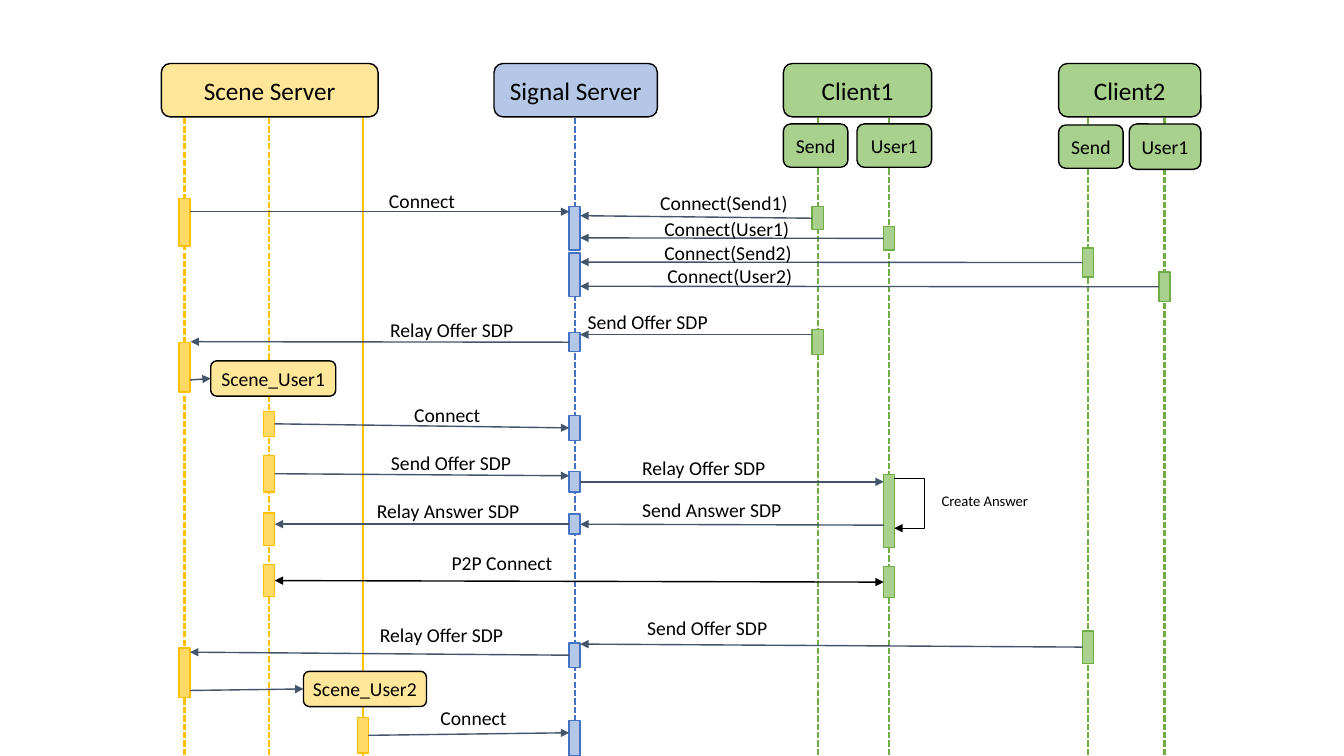
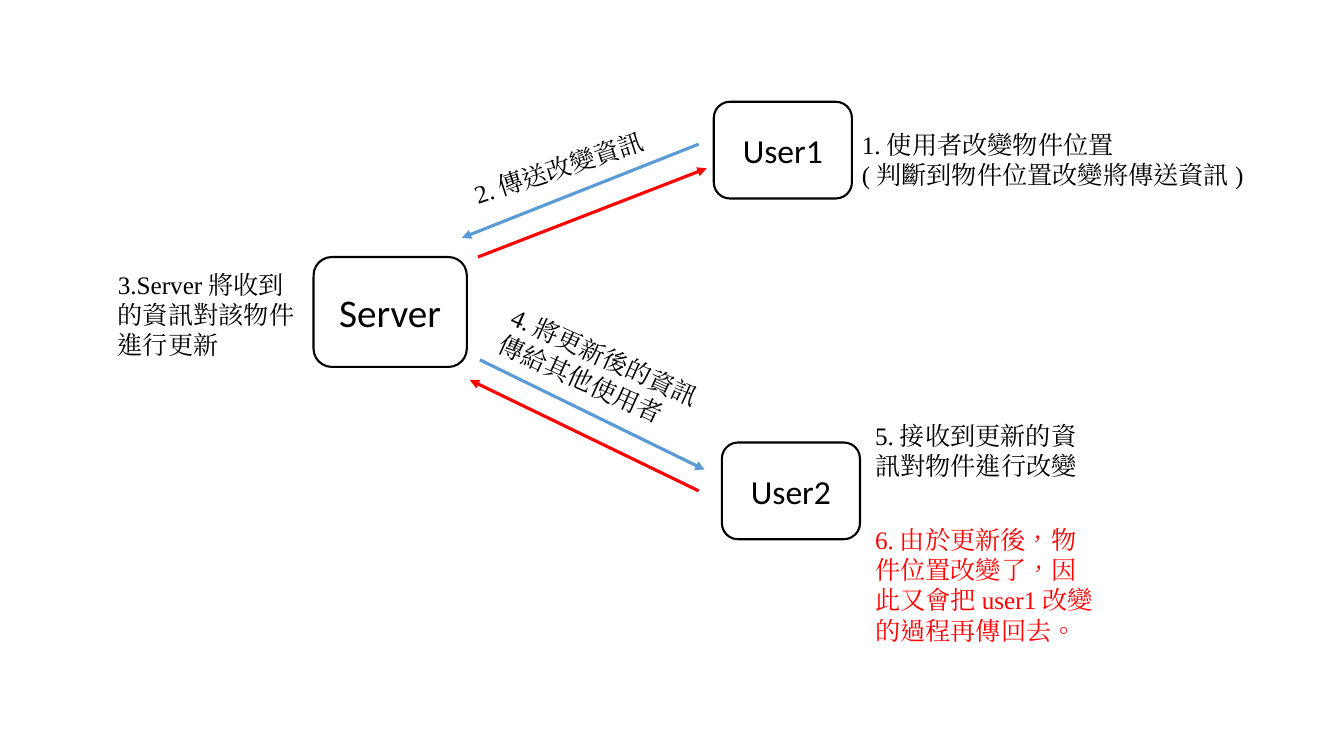
import pptx
import pptx.util
import pptx.dml.color
import pptx.enum.dml
import pptx.enum.lang
import pptx.enum.shapes
import pptx.enum.text
import lxml.etree
from pptx.oxml.ns import qn

Inches = pptx.util.Inches
Shape = pptx.enum.shapes.MSO_SHAPE

# The layout grid has one-inch columns and rows.
COLUMNS, ROWS = 13.33, 7.5
BLACK, WHITE, RED, BLUE, SLATE = "000000", "FFFFFF", "FF0000", "5B9BD5", "44546A"
SANS, SERIF = "Calibri", "Times New Roman"

# Each role: header fill, bar fill, outline
ROLES = {
    "scene": ("FFE699", "FFD966", "FFC000"),
    "signal": ("B4C7E7", "B4C7E7", "4472C4"),
    "client": ("A9D18E", "A9D18E", "70AD47"),
}
# Each lifeline: column, role, dashed
LIFELINES = {
    "scene": (1.83, "scene", True),
    "scene_user1": (2.67, "scene", True),
    "scene_user2": (3.6, "scene", False),
    "signal": (5.7, "signal", True),
    "send1": (8.11, "client", True),
    "user1": (8.82, "client", True),
    "send2": (10.79, "client", True),
    "user2": (11.55, "client", True),
}
LIFELINE_TOP, BAR_WIDTH = 1.17, 0.11
# Each header: role, text, size, left, top, width, height
HEADERS = [
    ("scene", "Scene Server", 18, 1.6, 0.63, 2.15, 0.53),
    ("signal", "Signal Server", 18, 4.9, 0.63, 1.62, 0.53),
    ("client", "Client1", 18, 7.77, 0.63, 1.47, 0.53),
    ("client", "Send", 14, 7.77, 1.23, 0.64, 0.43),
    ("client", "User1", 14, 8.5, 1.23, 0.74, 0.43),
    ("client", "Client2", 18, 10.5, 0.63, 1.41, 0.53),
    ("client", "Send", 14, 10.5, 1.24, 0.64, 0.43),
    ("client", "User1", 14, 11.2, 1.23, 0.71, 0.45),
]
# Boxes that start a lifeline later on: text, left, top, width, height
SPAWNED = {
    "scene_user1": ("Scene_User1", 2.09, 3.58, 1.24, 0.35),
    "scene_user2": ("Scene_User2", 3.01, 6.66, 1.22, 0.35),
}
# Bars on each lifeline: top, height
BARS = {
    "scene": [(1.97, 0.47), (3.4, 0.49), (6.43, 0.49)],
    "scene_user1": [(4.08, 0.25), (4.52, 0.36), (5.09, 0.32), (5.6, 0.32)],
    "scene_user2": [(7.12, 0.35)],
    "signal": [(2.05, 0.43), (2.51, 0.43), (3.3, 0.19), (4.12, 0.25),
               (4.68, 0.2), (5.1, 0.2), (6.38, 0.24), (7.15, 0.35)],
    "send1": [(2.05, 0.23), (3.27, 0.25)],
    "user1": [(2.25, 0.23), (4.71, 0.72), (5.62, 0.31)],
    "send2": [(2.46, 0.29), (6.26, 0.32)],
    "user2": [(2.7, 0.29)],
}
# Each message: sender, receiver, row, then text with its left and top
MESSAGES = [
    ("scene", "signal", 2.1, "Connect", 3.76, 1.83),
    ("send1", "signal", 2.14, "Connect(Send1)", 6.45, 1.84),
    ("user1", "signal", 2.36, "Connect(User1)", 6.49, 2.1),
    ("send2", "signal", 2.6, "Connect(Send2)", 6.49, 2.34),
    ("user2", "signal", 2.84, "Connect(User2)", 6.52, 2.57),
    ("send1", "signal", 3.32, "Send Offer SDP", 5.73, 3.03),
    ("signal", "scene", 3.39, "Relay Offer SDP", 3.77, 3.11),
    ("scene", "scene_user1", 3.77, "", 0, 0),
    ("scene_user1", "signal", 4.23, "Connect", 4.01, 3.95),
    ("scene_user1", "signal", 4.72, "Send Offer SDP", 3.78, 4.42),
    ("signal", "user1", 4.78, "Relay Offer SDP", 6.27, 4.47),
    ("user1", "signal", 5.21, "Send Answer SDP", 6.27, 4.89),
    ("signal", "scene_user1", 5.2, "Relay Answer SDP", 3.64, 4.9),
    ("send2", "signal", 6.39, "Send Offer SDP", 6.32, 6.06),
    ("signal", "scene", 6.47, "Relay Offer SDP", 3.67, 6.13),
    ("scene", "scene_user2", 6.85, "", 0, 0),
    ("scene_user2", "signal", 7.27, "Connect", 4.27, 6.95),
]


def color(hex_text):
    return pptx.dml.color.RGBColor.from_string(hex_text)


def add_run(para, text, size, font, ink):
    run = para.add_run()
    run.text = text
    run.font.size = pptx.util.Pt(size)
    run.font.name = font
    run.font.color.rgb = color(ink)
    if font == SERIF:
        run.font.language_id = pptx.enum.lang.MSO_LANGUAGE_ID.TRADITIONAL_CHINESE
        east_asian = lxml.etree.SubElement(run._r.get_or_add_rPr(), qn("a:ea"))
        east_asian.set("typeface", font)


def style_line(line, ink, width, ends=()):
    """Set colour and width; ends names arrowheads, headEnd before tailEnd."""
    line.color.rgb = color(ink)
    line.width = pptx.util.Pt(width)
    for end in ends:
        arrow = lxml.etree.SubElement(line._get_or_add_ln(), qn("a:" + end))
        arrow.set("type", "triangle")


def add_box(page, place, fill, outline, width=1, kind=Shape.RECTANGLE, text="", size=14):
    box = page.shapes.add_shape(kind, *map(Inches, place))
    box.shadow.inherit = False
    box.fill.solid()
    box.fill.fore_color.rgb = color(fill)
    style_line(box.line, outline, width)
    if text:
        frame = box.text_frame
        frame.margin_left = frame.margin_right = 0
        frame.vertical_anchor = pptx.enum.text.MSO_ANCHOR.MIDDLE
        para = frame.paragraphs[0]
        para.alignment = pptx.enum.text.PP_ALIGN.CENTER
        add_run(para, text, size, SANS, BLACK)
    return box


def add_label(page, place, lines, size=14, font=SANS, ink=BLACK, turn=0, wrap=True):
    box = page.shapes.add_textbox(*map(Inches, place))
    box.rotation = turn
    frame = box.text_frame
    frame.word_wrap = wrap
    for index, text in enumerate(lines):
        para = frame.add_paragraph() if index else frame.paragraphs[0]
        add_run(para, text, size, font, ink)


def add_line(page, start, end, ink, width, ends=(), dashed=False):
    line = page.shapes.add_connector(
        pptx.enum.shapes.MSO_CONNECTOR.STRAIGHT, *map(Inches, start + end))
    style_line(line.line, ink, width, ends)
    if dashed:
        line.line.dash_style = pptx.enum.dml.MSO_LINE.SQUARE_DOT
    lxml.etree.SubElement(line._element.spPr, qn("a:effectLst"))
    return line


def find_end(name, row, boxes, rightward):
    """Return the column where an arrow meets a lifeline, and the box to join."""
    for box in boxes[name]:
        if box.top <= Inches(row) <= box.top + box.height:
            edge = box.left + (box.width if rightward else 0)
            middle = box.top + box.height / 2
            centred = abs(middle - Inches(row)) < Inches(0.04)
            return edge / Inches(1), box if centred else None
    return LIFELINES[name][0] + (0.06 if rightward else -0.06), None


def add_message(page, boxes, sender, receiver, row, ink=SLATE, ends=("tailEnd",)):
    rightward = LIFELINES[sender][0] < LIFELINES[receiver][0]
    start, start_box = find_end(sender, row, boxes, rightward)
    end, end_box = find_end(receiver, row, boxes, not rightward)
    line = add_line(page, (start, row), (end, row), ink, 1, ends)
    if start_box is not None:
        line.begin_connect(start_box, 3 if rightward else 1)
    if end_box is not None:
        line.end_connect(end_box, 1 if rightward else 3)


def add_answer_loop(page):
    left, right, top, bottom = map(Inches, (8.87, 9.17, 4.75, 5.24))
    builder = page.shapes.build_freeform(left, top)
    builder.add_line_segments([(right, top), (right, bottom), (left, bottom)], close=False)
    loop = builder.convert_to_shape()
    loop.shadow.inherit = False
    loop.fill.background()
    style_line(loop.line, BLACK, 1, ("tailEnd",))
    add_label(page, (9.24, 4.83, 1.2, 0.28), ["Create Answer"], 10.5)


def build_sequence(page):
    for column, role, dashed in LIFELINES.values():
        add_line(page, (column, LIFELINE_TOP), (column, ROWS), ROLES[role][2], 1.5,
                 dashed=dashed)
    for role, text, size, *place in HEADERS:
        add_box(page, place, ROLES[role][0], BLACK, 1, Shape.ROUNDED_RECTANGLE, text, size)
    boxes = {}
    for name, bars in BARS.items():
        column, role, _ = LIFELINES[name]
        _, fill, outline = ROLES[role]
        boxes[name] = [
            add_box(page, (column - BAR_WIDTH / 2, top, BAR_WIDTH, height), fill, outline)
            for top, height in bars]
    for name, (text, *place) in SPAWNED.items():
        boxes[name].append(add_box(page, place, ROLES["scene"][0], BLACK, 1,
                                   Shape.ROUNDED_RECTANGLE, text))
    for sender, receiver, row, text, left, top in MESSAGES:
        add_message(page, boxes, sender, receiver, row)
        if text:
            add_label(page, (left, top, 1.8, 0.34), [text])
    add_message(page, boxes, "scene_user1", "user1", 5.77, BLACK, ("headEnd", "tailEnd"))
    add_label(page, (4.38, 5.42, 1.55, 0.34), ["P2P Connect"])
    add_answer_loop(page)


def build_update_flow(page):
    for text, size, *place in [
            ("Server", 28, 3.11, 2.55, 1.52, 1.09),
            ("User1", 24, 7.08, 1.01, 1.37, 0.96),
            ("User2", 24, 7.16, 4.39, 1.37, 0.96)]:
        add_box(page, place, WHITE, BLACK, 1.5, Shape.ROUNDED_RECTANGLE, text, size)
    for start, end, ink in [
            ((4.74, 2.55), (7.01, 1.67), RED),
            ((6.93, 1.43), (4.58, 2.36), BLUE),
            ((4.76, 3.57), (6.99, 4.66), BLUE),
            ((6.93, 4.87), (4.66, 3.77), RED)]:
        add_line(page, start, end, ink, 2.25, ("tailEnd",))
    for place, lines, ink, turn, wrap in [
            ((8.45, 1.23, 3.99, 0.71),
             ["1.使用者改變物件位置", "(判斷到物件位置改變將傳送資訊)"], BLACK, 0, False),
            ((4.57, 1.46, 1.97, 0.4), ["2.傳送改變資訊"], BLACK, 341.8, False),
            ((1.07, 2.62, 2.04, 1.01),
             ["3.Server將收到的資訊對該物件進行更新"], BLACK, 0, True),
            ((4.83, 3.37, 2.42, 0.71),
             ["4.將更新後的資訊傳給其他使用者"], BLACK, 24.2, True),
            ((8.58, 4.12, 2.42, 0.71),
             ["5.接收到更新的資訊對物件進行改變"], BLACK, 0, True),
            ((8.58, 5.15, 2.42, 1.31),
             ["6.由於更新後，物件位置改變了，因此又會把user1改變的過程再傳回去。"],
             RED, 0, True)]:
        add_label(page, place, lines, 18, SERIF, ink, turn, wrap)


def main():
    deck = pptx.Presentation()
    deck.slide_width, deck.slide_height = Inches(COLUMNS), Inches(ROWS)
    blank = deck.slide_layouts[6]
    for build in (build_sequence, build_update_flow):
        build(deck.slides.add_slide(blank))
    deck.save("out.pptx")


if __name__ == "__main__":
    main()
